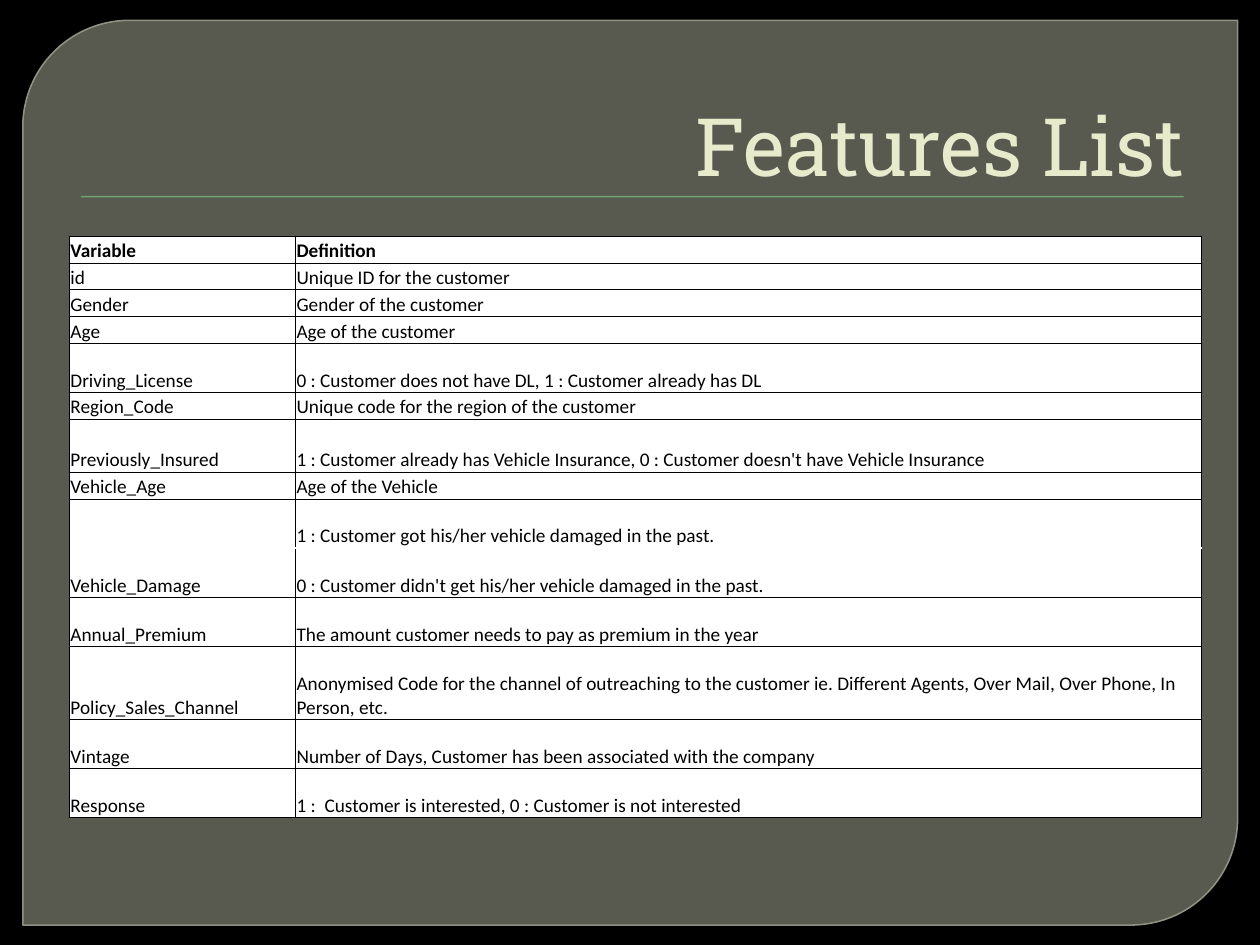
"""Build the Features List slide with its table of variables and definitions."""
from dataclasses import dataclass

from lxml import etree
from pptx import Presentation
from pptx.dml.color import RGBColor
from pptx.enum.shapes import MSO_SHAPE
from pptx.enum.text import MSO_ANCHOR, PP_ALIGN
from pptx.oxml.ns import qn
from pptx.util import Cm, Pt

DIAGONAL_ROUNDED = MSO_SHAPE.ROUND_2_DIAG_RECTANGLE
RECTANGLE = MSO_SHAPE.RECTANGLE
BOTTOM = MSO_ANCHOR.BOTTOM
LEFT, RIGHT = PP_ALIGN.LEFT, PP_ALIGN.RIGHT

SHORT, MEDIUM, RAISED, TALL = 0.54, 0.99, 1.07, 1.47
DAMAGE_ROW = 8
FEATURES = [
    (SHORT, "Variable", "Definition"),
    (SHORT, "id", "Unique ID for the customer"),
    (SHORT, "Gender", "Gender of the customer"),
    (SHORT, "Age", "Age of the customer"),
    (MEDIUM, "Driving_License", "0 : Customer does not have DL, 1 : Customer already has DL"),
    (SHORT, "Region_Code", "Unique code for the region of the customer"),
    (RAISED, "Previously_Insured",
     "1 : Customer already has Vehicle Insurance, 0 : Customer doesn't have Vehicle Insurance"),
    (SHORT, "Vehicle_Age", "Age of the Vehicle"),
    (MEDIUM, "Vehicle_Damage", "1 : Customer got his/her vehicle damaged in the past."),
    (MEDIUM, "", "0 : Customer didn't get his/her vehicle damaged in the past."),
    (MEDIUM, "Annual_Premium", "The amount customer needs to pay as premium in the year"),
    (TALL, "Policy_Sales_Channel",
     "Anonymised Code for the channel of outreaching to the customer ie. "
     "Different Agents, Over Mail, Over Phone, In Person, etc."),
    (MEDIUM, "Vintage", "Number of Days, Customer has been associated with the company"),
    (MEDIUM, "Response", "1 :  Customer is interested, 0 : Customer is not interested"),
]


@dataclass(frozen=True)
class Theme:
    """Colours, fonts and type sizes of the slide."""
    background: str = "000000"
    panel: str = "888B7B"
    panel_line: str = "9DA090"
    rule: str = "72A376"
    title: str = "E7EACB"
    cell: str = "FFFFFF"
    ink: str = "000000"
    title_font: str = "Roboto Slab"
    body_font: str = "Calibri"
    title_size: float = 46
    body_size: float = 11
    border_width: float = 0.5


def write_text(frame, text, *, font, size, color, bold=False, align=LEFT):
    """Put one formatted paragraph into a text frame."""
    paragraph = frame.paragraphs[0]
    paragraph.alignment = align
    run = paragraph.add_run()
    run.text = text
    run.font.name, run.font.size, run.font.bold = font, Pt(size), bold
    run.font.color.rgb = RGBColor.from_string(color)


def set_opacity(color_parent, percent):
    """Set the opacity of the solid colour inside an element."""
    color = color_parent.find(qn("a:solidFill")).find(qn("a:srgbClr"))
    etree.SubElement(color, qn("a:alpha"), val=str(percent * 1000))


def add_border(cell, side, color, width):
    """Draw one side of a table cell."""
    line = etree.SubElement(cell._tc.get_or_add_tcPr(), qn(f"a:ln{side}"), w=str(Pt(width)))
    fill = etree.SubElement(line, qn("a:solidFill"))
    etree.SubElement(fill, qn("a:srgbClr"), val=color)


class SlideBuilder:
    """Hold the theme and the current slide."""

    def __init__(self, slide, theme):
        """Keep the slide and paint its background."""
        self.slide, self.theme = slide, theme
        fill = slide.background.fill
        fill.solid()
        fill.fore_color.rgb = RGBColor.from_string(theme.background)

    def add_shape(self, kind, left, top, width, height, color):
        """Add a plain filled shape without outline or shadow."""
        shape = self.slide.shapes.add_shape(kind, Cm(left), Cm(top), Cm(width), Cm(height))
        shape.shadow.inherit = False
        shape.fill.solid()
        shape.fill.fore_color.rgb = RGBColor.from_string(color)
        shape.line.fill.background()
        return shape

    def add_panel(self, left, top, width, height):
        """Add the translucent panel with two rounded corners."""
        panel = self.add_shape(DIAGONAL_ROUNDED, left, top, width, height, self.theme.panel)
        panel.adjustments[0], panel.adjustments[1] = 0.118, 0
        panel.line.color.rgb = RGBColor.from_string(self.theme.panel_line)
        panel.line.width = Pt(0.87)
        properties = panel._element.spPr
        set_opacity(properties, 65)
        set_opacity(properties.find(qn("a:ln")), 88)

    def add_title(self, text, left, top, width, height):
        """Add the right-aligned title."""
        box = self.slide.shapes.add_textbox(Cm(left), Cm(top), Cm(width), Cm(height))
        frame = box.text_frame
        frame.word_wrap = True
        frame.vertical_anchor = BOTTOM
        frame.margin_bottom = 0
        write_text(frame, text, font=self.theme.title_font, size=self.theme.title_size,
                   color=self.theme.title, align=RIGHT)

    def format_cell(self, cell, text, bold, sides):
        """Fill, border and write one table cell."""
        theme = self.theme
        for side in sides:
            add_border(cell, side, theme.ink, theme.border_width)
        cell.fill.solid()
        cell.fill.fore_color.rgb = RGBColor.from_string(theme.cell)
        cell.vertical_anchor = BOTTOM
        cell.margin_left = cell.margin_right = cell.margin_top = Cm(0.02)
        cell.margin_bottom = 0
        if text:
            write_text(cell.text_frame, text, font=theme.body_font, size=theme.body_size,
                       color=theme.ink, bold=bold)

    def add_table(self, rows, left, top, column_widths):
        """Add the bordered table of variables and definitions."""
        height = sum(row[0] for row in rows)
        table = self.slide.shapes.add_table(
            len(rows), len(column_widths), Cm(left), Cm(top),
            Cm(sum(column_widths)), Cm(height)).table
        table.first_row = table.horz_banding = False
        for column, width in zip(table.columns, column_widths):
            column.width = Cm(width)
        open_sides = {DAMAGE_ROW: "LRT", DAMAGE_ROW + 1: "LRB"}
        for index, (row_height, *texts) in enumerate(rows):
            table.rows[index].height = Cm(row_height)
            for column, text in enumerate(texts):
                sides = open_sides.get(index, "LRTB") if column else "LRTB"
                self.format_cell(table.cell(index, column), text, index == 0, sides)
        table.cell(DAMAGE_ROW, 0).merge(table.cell(DAMAGE_ROW + 1, 0))


def main():
    """Build and save the presentation."""
    presentation = Presentation()
    presentation.slide_width, presentation.slide_height = Cm(25.4), Cm(19.05)
    slide = presentation.slides.add_slide(presentation.slide_layouts[6])
    theme = Theme()
    builder = SlideBuilder(slide, theme)
    builder.add_panel(0.46, 0.41, 24.49, 18.24)
    builder.add_shape(RECTANGLE, 1.63, 3.95, 22.23, 0.03, theme.rule)
    builder.add_title("Features List", 1.27, 0.71, 22.86, 3.18)
    builder.add_table(FEATURES, 1.4, 4.76, (4.56, 18.26))
    presentation.save("out.pptx")


if __name__ == "__main__":
    main()
